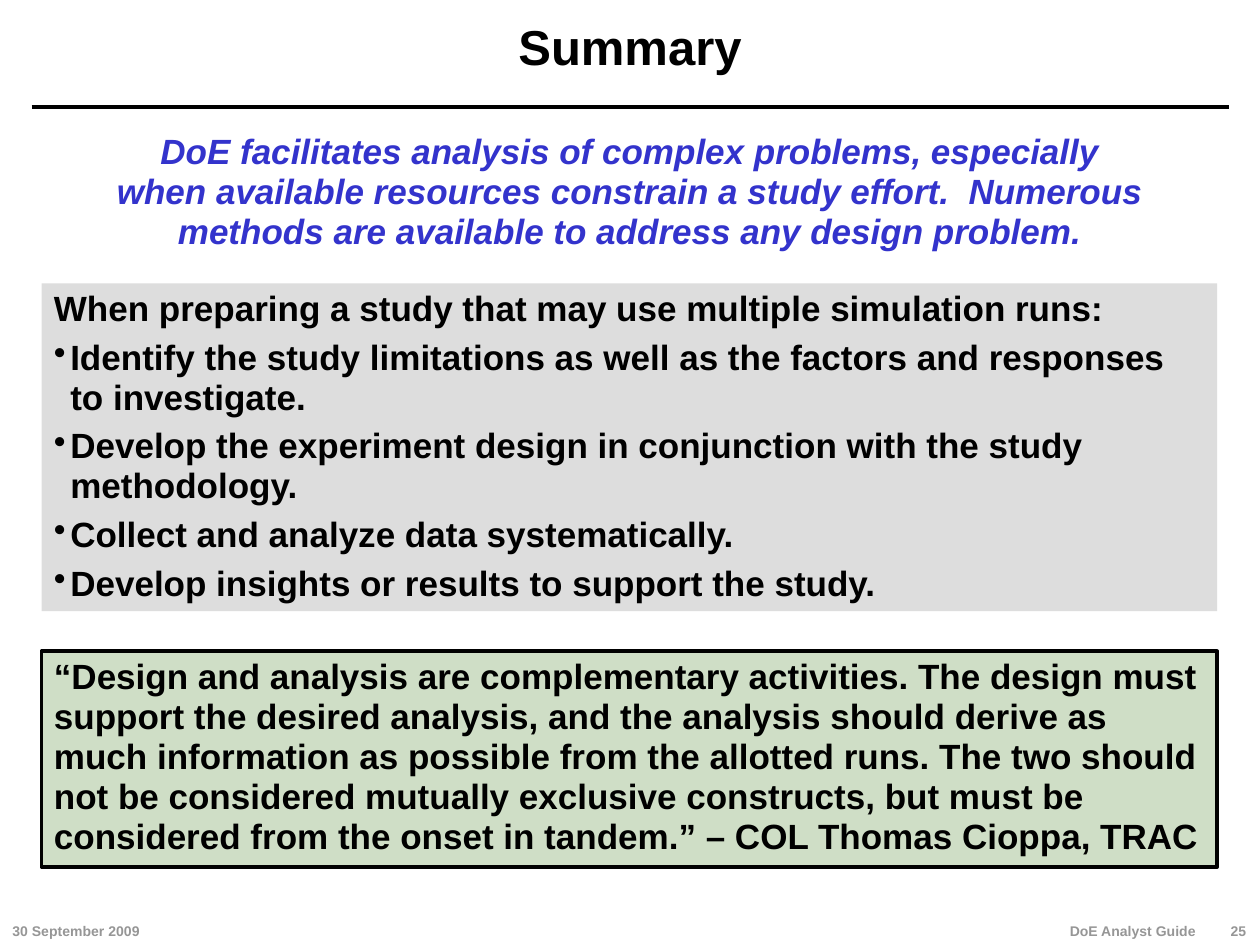
from lxml import etree
from pptx import Presentation
from pptx.dml.color import RGBColor
from pptx.enum import shapes, text
from pptx.oxml import ns
from pptx.util import Inches, Pt

COLORS = {
    "black": "000000",
    "footer": "969696",
    "message": "3333CC",
    "steps": "DDDDDD",
    "quote": "CFDEC6",
}
FONT = "Arial"
LEFT, CENTER, RIGHT = text.PP_ALIGN.LEFT, text.PP_ALIGN.CENTER, text.PP_ALIGN.RIGHT

MESSAGE = ("DoE facilitates analysis of complex problems, especially when available "
           "resources constrain a study effort.  Numerous methods are available to "
           "address any design problem.")
STEPS_HEADING = "When preparing a study that may use multiple simulation runs:"
STEPS = [
    "Identify the study limitations as well as the factors and responses to investigate.",
    "Develop the experiment design in conjunction with the study methodology.",
    "Collect and analyze data systematically.",
    "Develop insights or results to support the study.",
]
QUOTE = ("“Design and analysis are complementary activities. The design must support "
         "the desired analysis, and the analysis should derive as much information as "
         "possible from the allotted runs. The two should not be considered mutually "
         "exclusive constructs, but must be considered from the onset in tandem.” "
         "– COL Thomas Cioppa, TRAC")


def rgb(name):
    return RGBColor.from_string(COLORS[name])


def inches(box):
    return [Inches(length) for length in box]


def style(paragraph, size, color="black", align=LEFT, spacing=None, before=0, italic=False):
    paragraph.alignment = align
    paragraph.line_spacing = spacing
    paragraph.space_before = Pt(before)
    font = paragraph.font
    font.name, font.size, font.bold, font.italic = FONT, Pt(size), True, italic
    font.color.rgb = rgb(color)


def style_body(paragraph, color="black", align=LEFT, italic=False):
    style(paragraph, 20, color, align, 0.95, 5, italic)


def set_indent(paragraph, bullet):
    """Hang the paragraph, with a bullet if asked; call before fonts are set."""
    properties = paragraph._p.get_or_add_pPr()
    properties.set("marL", str(Inches(0.13)))
    properties.set("indent", str(-Inches(0.13)))
    if bullet:
        etree.SubElement(properties, ns.qn("a:buChar")).set("char", "•")


def add_panel(slide, box, fill):
    panel = slide.shapes.add_shape(shapes.MSO_SHAPE.RECTANGLE, *inches(box))
    panel.shadow.inherit = False
    panel.fill.solid()
    panel.fill.fore_color.rgb = rgb(fill)
    panel.line.fill.background()
    panel.text_frame.word_wrap = True
    panel.text_frame.vertical_anchor = text.MSO_ANCHOR.TOP
    return panel


def add_title(slide, box):
    """Place the title and the rule below it."""
    left, top, width, height = inches(box)
    title = slide.shapes.title
    title.left, title.top, title.width, title.height = left, top, width, height
    frame = title.text_frame
    frame.margin_left = frame.margin_top = frame.margin_right = frame.margin_bottom = 0
    frame.vertical_anchor = text.MSO_ANCHOR.MIDDLE
    frame.text = "Summary"
    style(frame.paragraphs[0], 28, align=CENTER, spacing=0.9)

    rule_top = top + height + Inches(0.07)
    rule = slide.shapes.add_connector(
        shapes.MSO_CONNECTOR.STRAIGHT, left, rule_top, left + width, rule_top)
    rule.line.color.rgb = rgb("black")
    rule.line.width = Pt(2.5)
    etree.SubElement(rule._element.spPr, ns.qn("a:effectLst"))


def add_message(slide, box):
    frame = slide.shapes.add_textbox(*inches(box)).text_frame
    frame.word_wrap = True
    frame.text = MESSAGE
    style_body(frame.paragraphs[0], "message", CENTER, italic=True)


def add_steps(slide, box):
    frame = add_panel(slide, box, "steps").text_frame
    for index, line in enumerate([STEPS_HEADING] + STEPS):
        paragraph = frame.add_paragraph() if index else frame.paragraphs[0]
        paragraph.text = line
        set_indent(paragraph, bullet=index > 0)
        style_body(paragraph)


def add_quote(slide, box):
    panel = add_panel(slide, box, "quote")
    panel.line.color.rgb = rgb("black")
    panel.line.width = Pt(2.25)
    panel.text_frame.text = QUOTE
    style_body(panel.text_frame.paragraphs[0])


def add_footer(slide, box):
    """Place the date at the left, the guide's name and page number at the right."""
    left, top, width, height = box
    right = left + width
    for words, start, part_width, align in [
        ("30 September 2009", left, 2, LEFT),
        ("DoE Analyst Guide", right - 3.4, 3, RIGHT),
        ("25", right - 0.4, 0.4, RIGHT),
    ]:
        part = slide.shapes.add_textbox(*inches((start, top, part_width, height)))
        frame = part.text_frame
        frame.word_wrap = False
        frame.vertical_anchor = text.MSO_ANCHOR.BOTTOM
        frame.text = words
        style(frame.paragraphs[0], 8, "footer", align)


def main():
    presentation = Presentation()
    presentation.slide_width, presentation.slide_height = Inches(10), Inches(7.5)
    slide = presentation.slides.add_slide(presentation.slide_layouts[5])
    add_title(slide, (0.25, 0, 9.5, 0.78))
    add_message(slide, (0.79, 1, 8.42, 1.05))
    add_steps(slide, (0.33, 2.25, 9.33, 2.6))
    add_quote(slide, (0.33, 5.17, 9.33, 1.71))
    add_footer(slide, (0, 7.25, 9.99, 0.25))
    presentation.save("out.pptx")


if __name__ == "__main__":
    main()
